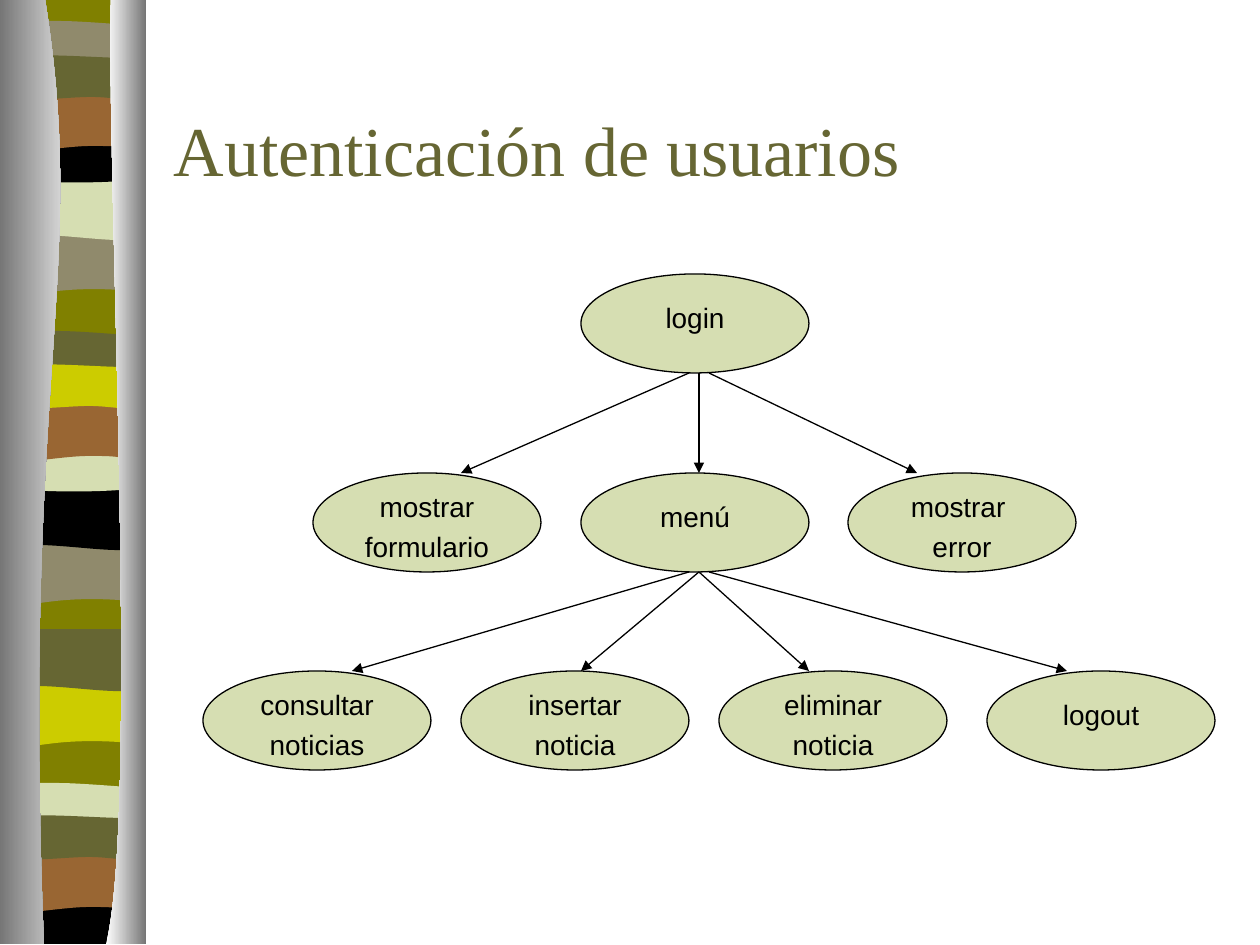
from dataclasses import dataclass

from lxml.etree import SubElement
from pptx import Presentation
from pptx.dml.color import RGBColor
from pptx.enum.shapes import MSO_CONNECTOR, MSO_SHAPE
from pptx.enum.text import MSO_ANCHOR, MSO_AUTO_SIZE, PP_ALIGN
from pptx.oxml.ns import qn
from pptx.util import Emu, Pt

SLIDE_W, SLIDE_H = 1260, 945
NODE_W, NODE_H = 228, 99
ROW_TOPS = (274, 473, 671)
COLORS = {
    "olive": "808000",
    "taupe": "908A6C",
    "sage": "D6DEB2",
    "moss": "666633",
    "brown": "996633",
    "yellow": "CCCC00",
    "black": "000000",
    "gray": "767676",
    "white": "FFFFFF",
}

OUTLINES = {
    "backing": [(136, 0), (136, 942), (0, 942), (0, 0)],
    "swell": [(136, 0), (136, 59), ((42, 49), (23, 69), (0, 59)), (0, 0)],
    "wave": [(136, 0), (136, 59), ((113, 69), (42, 51), (0, 59)), (0, 0)],
    "thin": [(136, 0), (136, 30), ((113, 36), (23, 36), (0, 30)), (0, 0),
             ((9, -6), (29, -5), (52, -5)), ((74, -5), (118, -1), (136, 0))],
    "bowl": [(136, 0), (136, 42), ((113, 48), (23, 48), (0, 42)), (0, 0),
             ((83, 6), (107, 0), (136, 0))],
    "arch": [(136, 0), (136, 60), ((115, 53), (106, 53), (83, 53)),
             ((60, 53), (20, 60), (0, 60)), (0, 0)],
    "lip": [(136, 0), (136, 39), ((127, 45), (106, 39), (83, 39)),
            ((60, 39), (14, 45), (0, 39)), (0, 0),
            ((19, -6), (92, 0), (115, 0)), ((138, 0), (131, 0), (136, 0))],
    "floor": [(136, 0), (136, 47), (0, 47), (0, 0),
              ((83, 6), (107, 0), (136, 0))],
    "left curtain": [(45, 0), ((89, 274), (21, 374), (44, 945)),
                     (0, 945), (0, 0)],
    "right curtain": [(111, 0), ((106, 159), (140, 815), (106, 945)),
                      (146, 945), (146, 0)],
}


@dataclass(frozen=True)
class Band:
    outline: str
    left: int
    top: int
    color: str


@dataclass(frozen=True)
class Curtain:
    outline: str
    start: str
    end: str


@dataclass(frozen=True)
class Node:
    lines: tuple[str, ...]
    left: int
    row: int
    label_inset: int = 30


@dataclass(frozen=True)
class Arrow:
    row: int
    start: int
    end: int


BANDS = [
    Band("backing", 8, -1, "olive"),
    Band("swell", 8, 233, "taupe"),
    Band("wave", 8, 178, "sage"),
    Band("thin", 8, 26, "taupe"),
    Band("bowl", 8, 136, "black"),
    Band("arch", 8, 93, "brown"),
    Band("lip", 8, 58, "moss"),
    Band("swell", 6, 543, "taupe"),
    Band("wave", 6, 488, "black"),
    Band("thin", 6, 336, "moss"),
    Band("bowl", 6, 445, "sage"),
    Band("arch", 6, 403, "brown"),
    Band("lip", 6, 367, "yellow"),
    Band("swell", 6, 685, "yellow"),
    Band("wave", 6, 629, "moss"),
    Band("thin", 6, 788, "sage"),
    Band("floor", 6, 897, "black"),
    Band("arch", 6, 854, "brown"),
    Band("lip", 6, 818, "moss"),
]
CURTAINS = [
    Curtain("left curtain", "gray", "white"),
    Curtain("right curtain", "white", "gray"),
]
NODES = [
    Node(("login",), 581, 0),
    Node(("menú",), 581, 1),
    Node(("mostrar", "formulario"), 313, 1, 0),
    Node(("mostrar ", "error"), 848, 1),
    Node(("insertar", "noticia"), 461, 2),
    Node(("logout",), 987, 2),
    Node(("consultar", "noticias"), 203, 2),
    Node(("eliminar", "noticia"), 719, 2),
]
ARROWS = [
    Arrow(0, 699, 699),
    Arrow(0, 689, 461),
    Arrow(0, 709, 917),
    Arrow(1, 699, 581),
    Arrow(1, 689, 352),
    Arrow(1, 709, 1067),
    Arrow(1, 699, 809),
]


def px(value: int) -> Emu:
    return Emu(round(value * 914400 / 126))


def rgb(name: str) -> RGBColor:
    return RGBColor.from_string(COLORS[name])


def bend_curves(sp, steps: list) -> None:
    lines = iter(list(sp._element.iter(qn("a:lnTo"))))
    for step in steps:
        if len(step) == 2:
            next(lines)
            continue
        parts = [next(lines) for _ in step]
        geometry = parts[0].getparent()
        curve = SubElement(geometry, qn("a:cubicBezTo"))
        parts[0].addprevious(curve)
        for part in parts:
            curve.append(part[0])
            geometry.remove(part)


def add_outline(group, outline: str, left: int, top: int):
    steps = OUTLINES[outline]
    points = []
    for step in steps:
        points.extend([step] if len(step) == 2 else step)
    points = [(px(left + x), px(top + y)) for x, y in points]
    builder = group.shapes.build_freeform(*points[0])
    builder.add_line_segments(points[1:], close=True)
    sp = builder.convert_to_shape()
    bend_curves(sp, steps[1:])
    sp.shadow.inherit = False
    sp.line.fill.background()
    return sp


def add_band(group, band: Band) -> None:
    sp = add_outline(group, band.outline, band.left, band.top)
    sp.fill.solid()
    sp.fill.fore_color.rgb = rgb(band.color)


def add_curtain(group, curtain: Curtain) -> None:
    fill = add_outline(group, curtain.outline, 0, -1).fill
    fill.gradient()
    fill.gradient_angle = 0
    for stop, color in zip(fill.gradient_stops, (curtain.start, curtain.end)):
        stop.color.rgb = rgb(color)


def decorate_master(prs, s) -> None:
    group = s.shapes.add_group_shape()
    for band in BANDS:
        add_band(group, band)
    for curtain in CURTAINS:
        add_curtain(group, curtain)
    prs.slide_master.shapes._spTree.insert(2, group._element)


def add_node(s, node: Node) -> None:
    top = ROW_TOPS[node.row]
    sp = s.shapes.add_shape(MSO_SHAPE.OVAL, px(node.left), px(top), px(NODE_W), px(NODE_H))
    sp.shadow.inherit = False
    sp.fill.solid()
    sp.fill.fore_color.rgb = rgb("sage")
    sp.line.color.rgb = rgb("black")
    sp.line.width = Pt(0.75)
    count = len(node.lines)
    label = s.shapes.add_textbox(px(node.left + node.label_inset), px(top + 30 - 10 * count),
                                 px(NODE_W - 2 * node.label_inset), px(7 + 40 * count))
    tf = label.text_frame
    tf.word_wrap = True
    tf.auto_size = MSO_AUTO_SIZE.SHAPE_TO_FIT_TEXT
    tf.text = "\n".join(node.lines)
    for p in tf.paragraphs:
        p.alignment = PP_ALIGN.CENTER
        p.space_before = Pt(4)
        p.font.name = "Arial"
        p.font.size = Pt(16)
        p.font.color.rgb = rgb("black")


def add_arrow(s, arrow: Arrow) -> None:
    line = s.shapes.add_connector(MSO_CONNECTOR.STRAIGHT,
                                  px(arrow.start), px(ROW_TOPS[arrow.row] + NODE_H),
                                  px(arrow.end), px(ROW_TOPS[arrow.row + 1]))
    line.line.color.rgb = rgb("black")
    line.line.width = Pt(0.75)
    SubElement(line.line._get_or_add_ln(), qn("a:tailEnd"), type="triangle")
    SubElement(line._element.spPr, qn("a:effectLst"))


def set_title(s, text: str) -> None:
    title = s.shapes.title
    title.left, title.top, title.width, title.height = px(161), px(63), px(1071), px(171)
    tf = title.text_frame
    tf.auto_size = MSO_AUTO_SIZE.NONE
    tf.vertical_anchor = MSO_ANCHOR.MIDDLE
    tf.text = text
    p = tf.paragraphs[0]
    p.alignment = PP_ALIGN.LEFT
    p.font.name = "Times New Roman"
    p.font.size = Pt(40)
    p.font.color.rgb = rgb("moss")


def main() -> None:
    prs = Presentation()
    prs.slide_width, prs.slide_height = px(SLIDE_W), px(SLIDE_H)
    s = prs.slides.add_slide(prs.slide_layouts[5])
    decorate_master(prs, s)
    set_title(s, "Autenticación de usuarios")
    for node in NODES:
        add_node(s, node)
    for arrow in ARROWS:
        add_arrow(s, arrow)
    prs.save("out.pptx")


if __name__ == "__main__":
    main()
